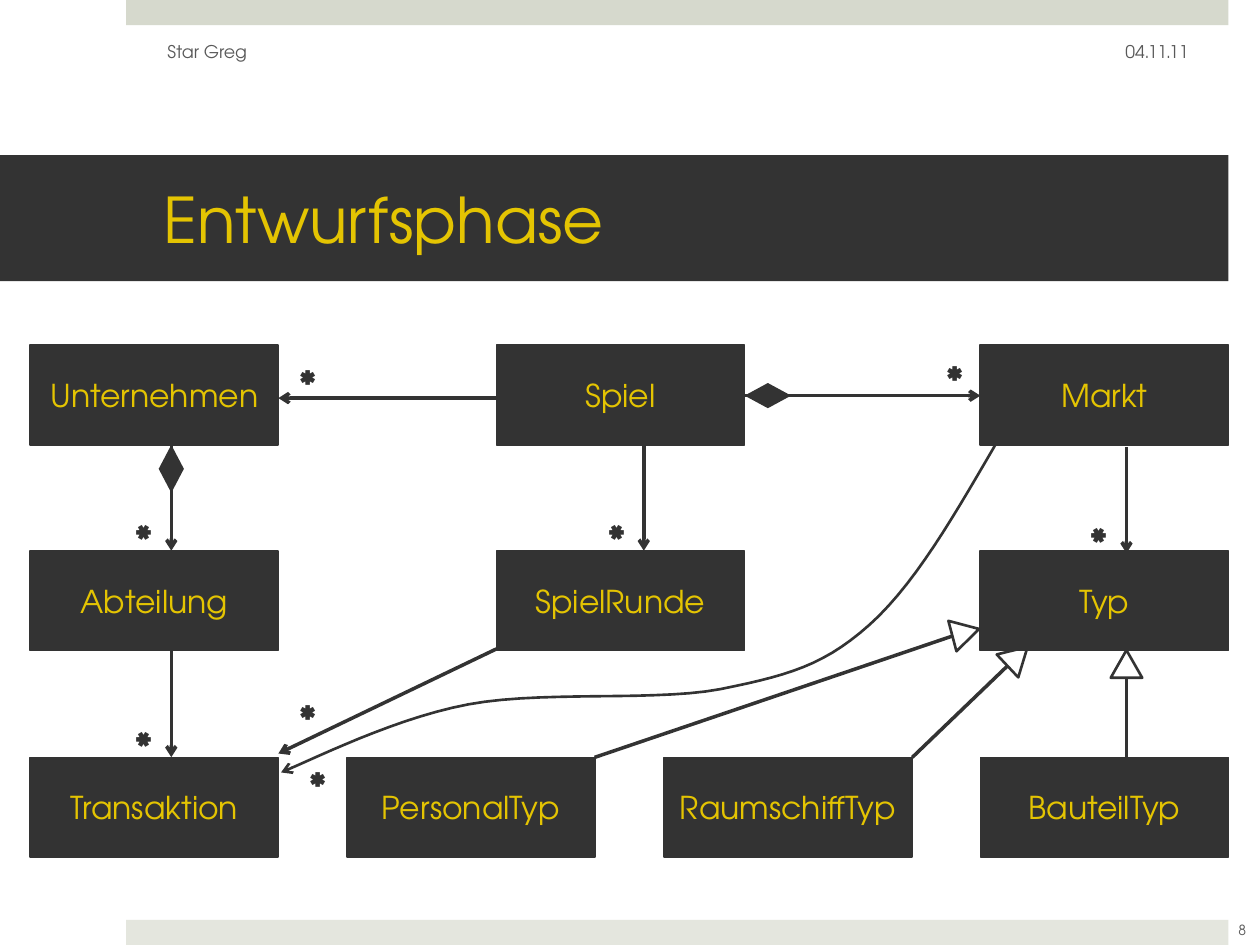
import math
import pptx
import pptx.util
import pptx.dml.color
import pptx.enum.shapes
import pptx.enum.text
import pptx.oxml
import pptx.oxml.ns

Pt = pptx.util.Pt
SHAPE = pptx.enum.shapes.MSO_SHAPE
ALIGN = pptx.enum.text.PP_ALIGN
ANCHOR = pptx.enum.text.MSO_ANCHOR
FONT = "TeX Gyre Adventor"
DARK, YELLOW, GREY = "333333", "E4C402", "595959"
BOX_W, BOX_H = 141.8, 56.9
STAR_H = 31.7
TRI_W, TRI_H = 18, 15.8


def color(fmt, value):
    fmt.rgb = pptx.dml.color.RGBColor.from_string(value)


def write(sp, text, size, value, align=ALIGN.LEFT, anchor=ANCHOR.MIDDLE, bold=False):
    tf = sp.text_frame
    tf.word_wrap = True
    tf.vertical_anchor = anchor
    p = tf.paragraphs[0]
    p.alignment = align
    r = p.add_run()
    r.text = text
    r.font.size, r.font.name, r.font.bold = Pt(size), FONT, bold
    color(r.font.color, value)


def textbox(s, x, y, w, h, *args, **kwargs):
    sp = s.shapes.add_textbox(Pt(x), Pt(y), Pt(w), Pt(h))
    write(sp, *args, **kwargs)
    return sp


def style(sp, fill=None, width=0):
    sp.shadow.inherit = False
    if fill:
        sp.fill.solid()
        color(sp.fill.fore_color, fill)
    else:
        sp.fill.background()
    if width:
        sp.line.width = Pt(width)
        color(sp.line.color, DARK)
    else:
        sp.line.fill.background()


def shape(s, kind, x, y, w, h, fill=None, width=0):
    sp = s.shapes.add_shape(kind, Pt(x), Pt(y), Pt(w), Pt(h))
    style(sp, fill, width)
    return sp


def add_arrowhead(sp):
    ln = sp._element.spPr.find(pptx.oxml.ns.qn("a:ln"))
    ln.append(pptx.oxml.parse_xml(
        '<a:tailEnd %s type="arrow"/>' % pptx.oxml.ns.nsdecls("a")))


def line(s, x1, y1, x2, y2, arrow=True):
    c = s.shapes.add_connector(pptx.enum.shapes.MSO_CONNECTOR.STRAIGHT,
                               Pt(x1), Pt(y1), Pt(x2), Pt(y2))
    c.line.width = Pt(2)
    color(c.line.color, DARK)
    if arrow:
        add_arrowhead(c)
    c._element.spPr.append(pptx.oxml.parse_xml(
        "<a:effectLst %s/>" % pptx.oxml.ns.nsdecls("a")))


def star(s, x, y, w=20.2, rotation=0):
    sp = textbox(s, x, y, w, STAR_H, "*", 20, DARK, anchor=ANCHOR.TOP, bold=True)
    sp.rotation = rotation


def inherit(s, x1, y1, tip_x, tip_y, angle):
    """Line ending in a hollow triangle that points along angle."""
    dx, dy = math.sin(math.radians(angle)), -math.cos(math.radians(angle))
    line(s, x1, y1, tip_x - TRI_H * dx, tip_y - TRI_H * dy, arrow=False)
    cx, cy = tip_x - TRI_H / 2 * dx, tip_y - TRI_H / 2 * dy
    sp = shape(s, SHAPE.ISOSCELES_TRIANGLE, cx - TRI_W / 2, cy - TRI_H / 2,
               TRI_W, TRI_H, width=1.5)
    sp.rotation = angle


def curve(s, start, beziers, steps=14):
    points, p0 = [], start
    for p1, p2, p3 in beziers:
        for i in range(1, steps + 1):
            t = i / steps
            u = 1 - t
            points.append(tuple(
                Pt(u**3 * a + 3 * u * u * t * b + 3 * u * t * t * c + t**3 * d)
                for a, b, c, d in zip(p0, p1, p2, p3)))
        p0 = p3
    fb = s.shapes.build_freeform(Pt(start[0]), Pt(start[1]))
    fb.add_line_segments(points, close=False)
    sp = fb.convert_to_shape()
    style(sp, width=1.5)
    add_arrowhead(sp)


def frame(s, w, h):
    # Bars along the top and bottom edges
    for y, fill in ((0, "D6D9CD"), (h - 14.4, "E4E6DE")):
        shape(s, SHAPE.RECTANGLE, 72, y, w - 90, 14.4, fill)
    # Footer, date and page number
    textbox(s, 88.6, 15.1, 228, 28.8, "Star Greg", 10, GREY)
    textbox(s, 518.4, 15.1, 167.8, 28.8, "04.11.11", 10, GREY, ALIGN.RIGHT)
    textbox(s, 691.9, 517, 36, 28.8, "8", 8, GREY, ALIGN.CENTER)


def title(s, x, y, w, h, text):
    sp = s.shapes.title
    sp.left, sp.top, sp.width, sp.height = Pt(x), Pt(y), Pt(w), Pt(h)
    sp.fill.solid()
    color(sp.fill.fore_color, DARK)
    tf = sp.text_frame
    tf.margin_left, tf.margin_right = Pt(93.6), Pt(21.6)
    tf.margin_top = tf.margin_bottom = Pt(3.6)
    write(sp, text, 36, YELLOW)


def class_diagram(s, x, y):
    # Classes
    cols, rows = (0, 266.4, 542.9), (0, 117.5, 235.5)
    grid = (("Unternehmen", "Spiel", "Markt"), ("Abteilung", "SpielRunde", "Typ"))
    boxes = [(name, cx, ry) for names, ry in zip(grid, rows)
             for name, cx in zip(names, cols)]
    boxes += [(name, 181 * i, rows[2]) for i, name in enumerate(
        ("Transaktion", "PersonalTyp", "RaumschiffTyp", "BauteilTyp"))]
    for name, bx, by in boxes:
        sp = shape(s, SHAPE.RECTANGLE, x + bx, y + by, BOX_W, BOX_H, DARK, 1)
        write(sp, name, 18, YELLOW, ALIGN.CENTER)

    # Downward associations
    for ax, ay in ((80.6, 56.9), (80.6, 174.9), (350.6, 56.9), (626.4, 58.3)):
        line(s, x + ax, y + ay, x + ax, y + ay + 60.5)
        star(s, x + ax - 17.6, y + ay + 37.4, 10.1, 270)

    # Sideways associations
    for x1, y1, x2, y2 in ((cols[1], 30.2, BOX_W, 30.2),
                           (cols[1] + BOX_W, 28.8, cols[2], 28.8),
                           (cols[1], 173.5, BOX_W, 233.3)):
        line(s, x + x1, y + y1, x + x2, y + y2)
    for sx, sy in ((146.9, 5.7), (516.2, 3.6), (146.9, 197.3), (152.6, 235.4)):
        star(s, x + sx, y + sy)

    # Compositions
    shape(s, SHAPE.DIAMOND, x + 73.4, y + BOX_H, 14.4, 27.4, DARK)
    shape(s, SHAPE.DIAMOND, x + cols[1] + BOX_W, y + 21.6, 26.6, 14.4, DARK)

    # Subtypes of Typ
    for x1, tip_x, tip_y, angle in ((322.5, 542.2, 162.1, 75.1),
                                    (504, 569.9, 172.4, 46.7),
                                    (626.4, 626.4, 174.2, 0)):
        inherit(s, x + x1, y + rows[2], x + tip_x, y + tip_y, angle)

    # Markt to Transaktion
    beziers = (((528.5, 96.5), (505.4, 136.8), (479.5, 159.8)),
               ((453.6, 182.9), (433.4, 188.6), (394.5, 196.5)),
               ((356.4, 203.7), (292.3, 197.3), (250.5, 205.2)),
               ((208, 213.1), (162, 236.5), (143.3, 244.1)))
    curve(s, (x + 551.5, y + BOX_H),
          [[(x + px, y + py) for px, py in bezier] for bezier in beziers])


prs = pptx.Presentation()
prs.slide_width, prs.slide_height = Pt(720), Pt(540)
s = prs.slides.add_slide(prs.slide_layouts[5])
frame(s, 720, 540)
title(s, 0, 88.6, 702, 72, "Entwurfsphase")
class_diagram(s, 17.3, 197.3)
prs.save("out.pptx")
